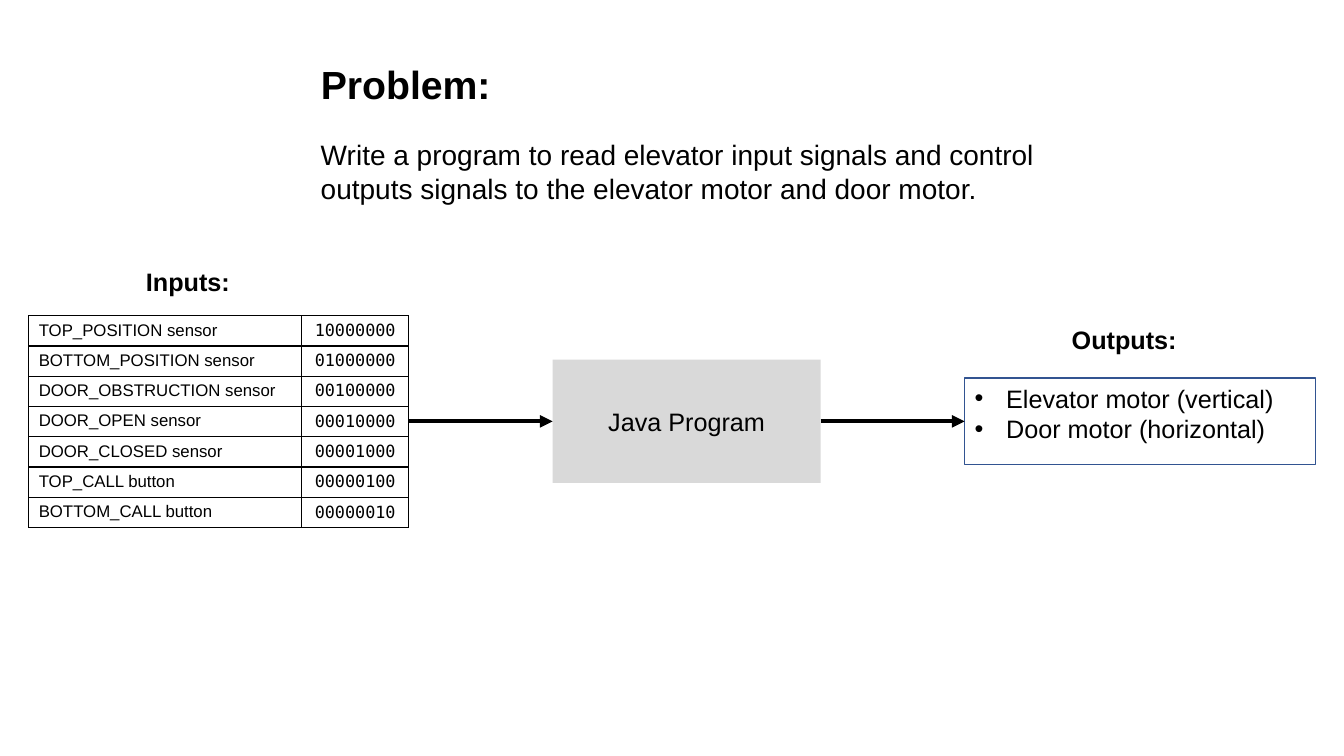
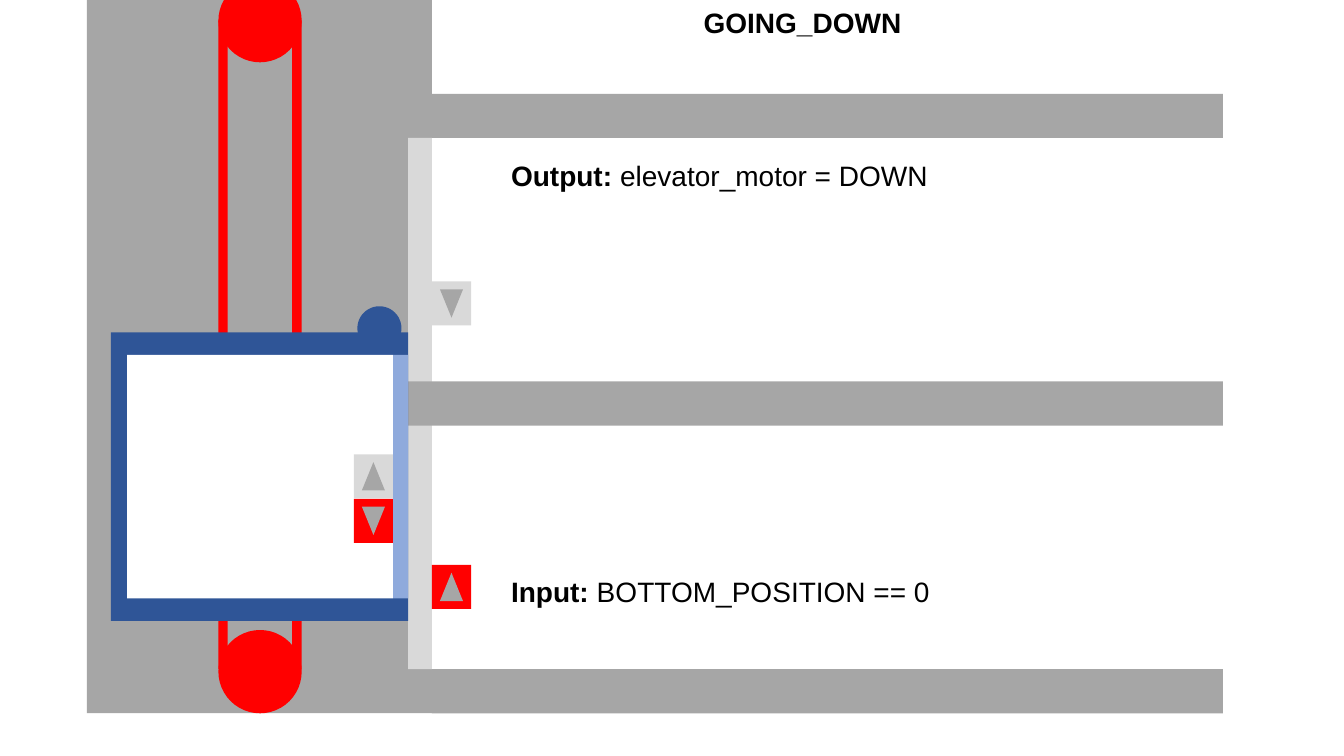
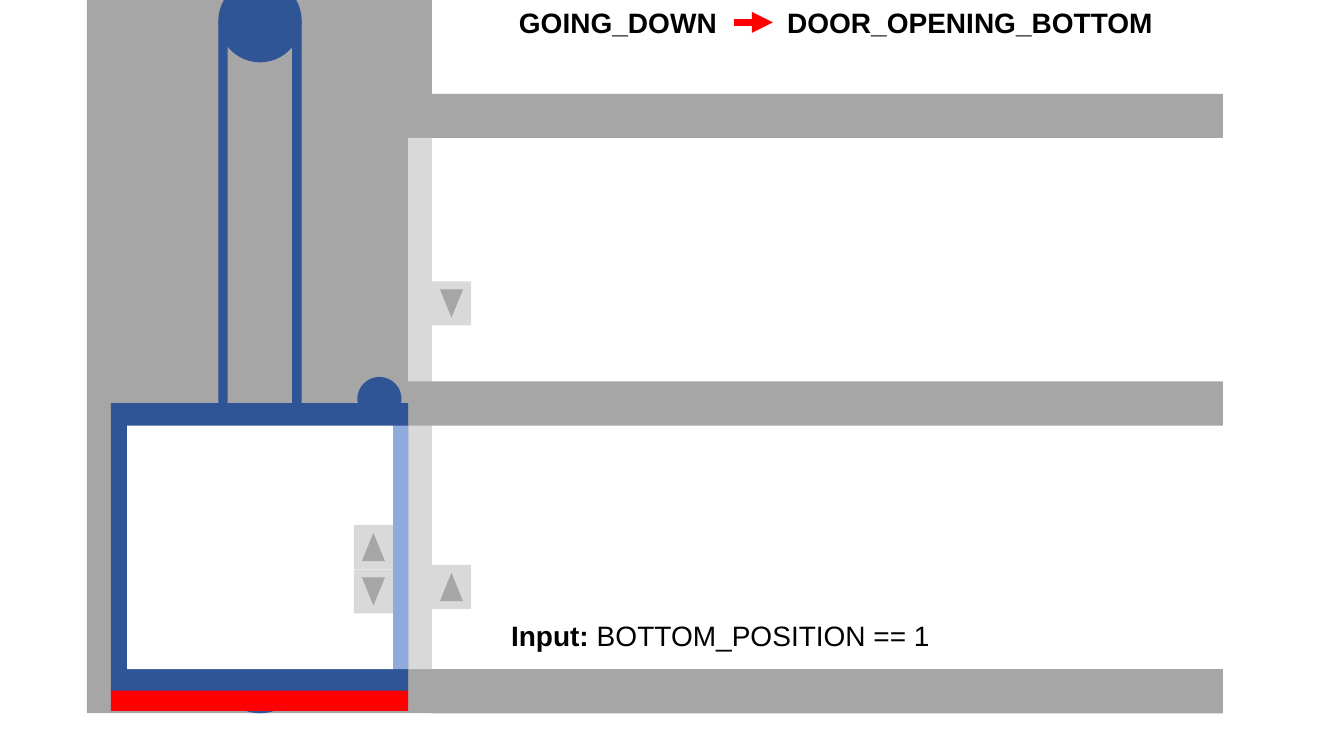
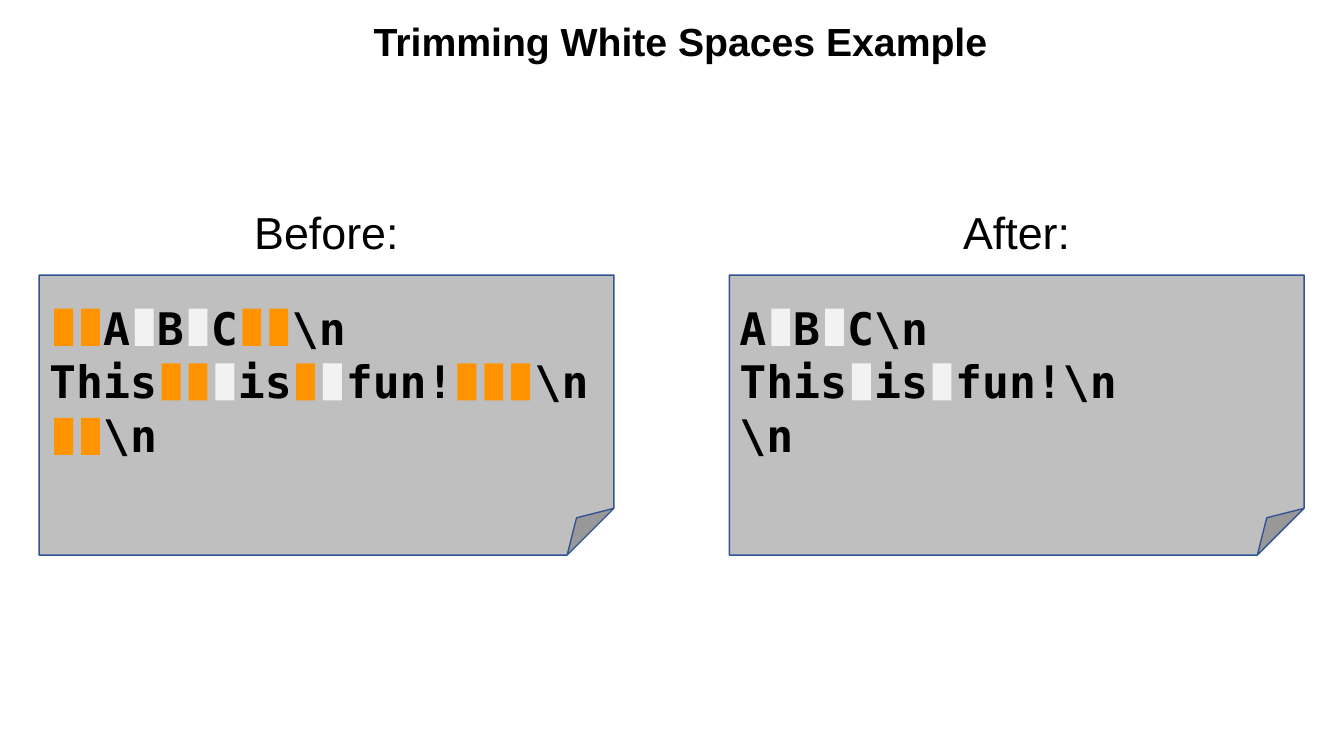
from lxml import etree
from pptx import Presentation
from pptx.dml.color import RGBColor
from pptx.enum import shapes, text
from pptx.oxml import ns
from pptx.util import Pt

COLORS = {
    "black": "000000", "white": "FFFFFF", "red": "FF0000", "outline": "325491",
    "wall": "A6A6A6", "door": "D9D9D9", "machine": "2F5597", "cab_door": "8FAADC",
    "paper": "BFBFBF", "extra_space": "FF9400", "kept_space": "F2F2F2",
}
SANS, MONO = "Arial", "DejaVu Sans Mono"
LEFT, CENTER = text.PP_ALIGN.LEFT, text.PP_ALIGN.CENTER
RECT, OVAL = shapes.MSO_SHAPE.RECTANGLE, shapes.MSO_SHAPE.OVAL
TRIANGLE, FOLDED = shapes.MSO_SHAPE.ISOSCELES_TRIANGLE, shapes.MSO_SHAPE.FOLDED_CORNER
TITLE_AND_BODY, TITLE_ONLY = 1, 5

FLOOR_TOPS = (67, 272.5, 478)
FLOOR_H = 31.5
OPENING_H = FLOOR_TOPS[1] - FLOOR_TOPS[0] - FLOOR_H
SHAFT_X, FLOOR_X, DOOR_W = 62, 308.5, 17
CAB_X, CAB_W, CAB_H = 79.25, 212.25, 206
BUTTON_W, BUTTON_H = 28, 31.5


def rgb(name):
    return RGBColor.from_string(COLORS[name])


def sub(parent, tag, **attrs):
    return etree.SubElement(parent, ns.qn(tag), attrs)


def place(sp, box):
    sp.left, sp.top, sp.width, sp.height = (Pt(v) for v in box)


def write(tf, lines, size, font=SANS, bold=False, align=LEFT):
    """Fill a frame; a line is a string or a list of (text, bold) runs."""
    for i, line in enumerate(lines):
        p = tf.paragraphs[0] if i == 0 else tf.add_paragraph()
        p.alignment, p.space_before = align, Pt(0)
        p.font.size, p.font.name = Pt(size), font
        p.font.color.rgb = rgb("black")
        if isinstance(line, str):
            p.font.bold = bold
            p.add_run().text = line
        else:
            for words, strong in line:
                r = p.add_run()
                r.text, r.font.bold = words, strong


def add_text(slide, box, lines, size, **style):
    sp = slide.shapes.add_textbox(*(Pt(v) for v in box))
    sp.text_frame.word_wrap = True
    write(sp.text_frame, lines, size, **style)


def fill_placeholder(sp, box, lines, size, **style):
    place(sp, box)
    tf = sp.text_frame
    tf.auto_size, tf.vertical_anchor = text.MSO_AUTO_SIZE.NONE, text.MSO_ANCHOR.TOP
    write(tf, lines, size, **style)


def add_slide(prs, layout, title, box, size, align=CENTER):
    slide = prs.slides.add_slide(prs.slide_layouts[layout])
    fill_placeholder(slide.shapes.title, box, [title], size, bold=True, align=align)
    return slide


def add_block(parent, kind, box, fill, line=None):
    sp = parent.shapes.add_shape(kind, *(Pt(v) for v in box))
    sp.shadow.inherit = False
    sp.fill.solid()
    sp.fill.fore_color.rgb = rgb(fill)
    if line:
        sp.line.color.rgb, sp.line.width = rgb(line), Pt(1)
    else:
        sp.line.fill.background()
    return sp


def add_arrow(slide, x1, x2, y, color, width):
    arrow = slide.shapes.add_connector(
        shapes.MSO_CONNECTOR.STRAIGHT, Pt(x1), Pt(y), Pt(x2), Pt(y))
    arrow.line.color.rgb, arrow.line.width = rgb(color), Pt(width)
    sub(arrow.line._get_or_add_ln(), "a:tailEnd", type="triangle")
    sub(arrow._element.spPr, "a:effectLst")
    return arrow


def add_signal_table(slide, x, y, col_widths, row_h, rows):
    table = slide.shapes.add_table(
        len(rows), len(col_widths), Pt(x), Pt(y),
        Pt(sum(col_widths)), Pt(row_h * len(rows))).table
    table.first_row = table.horz_banding = False
    for col, width in zip(table.columns, col_widths):
        col.width = Pt(width)
    for row, values in zip(table.rows, rows):
        row.height = Pt(row_h)
        for cell, value, font, align in zip(row.cells, values, (SANS, MONO), (LEFT, CENTER)):
            write(cell.text_frame, [value], 12, font=font, align=align)
            tcPr = cell._tc.get_or_add_tcPr()
            for side in ("a:lnL", "a:lnR", "a:lnT", "a:lnB"):
                ln = sub(tcPr, side, w=str(Pt(1)))
                sub(sub(ln, "a:solidFill"), "a:srgbClr", val=COLORS["black"])
            cell.fill.background()


def problem_slide(prs):
    slide = add_slide(prs, TITLE_AND_BODY, "Problem:", (222, 39.5, 536.5, 42), 28, LEFT)
    add_text(slide, (222, 95, 536.5, 58), [
        "Write a program to read elevator input signals and control "
        "outputs signals to the elevator motor and door motor."], 20)
    add_text(slide, (90, 186.5, 88.5, 29), ["Inputs:"], 18, bold=True, align=CENTER)
    add_text(slide, (755, 228, 96, 29), ["Outputs:"], 18, bold=True, align=CENTER)

    names = ("TOP_POSITION sensor", "BOTTOM_POSITION sensor", "DOOR_OBSTRUCTION sensor",
             "DOOR_OPEN sensor", "DOOR_CLOSED sensor", "TOP_CALL button",
             "BOTTOM_CALL button")
    rows = [(name, f"{128 >> bit:08b}") for bit, name in enumerate(names)]
    add_signal_table(slide, 20.5, 225.5, (195, 76.5), 21.6, rows)

    program = add_block(slide, RECT, (394.75, 257, 191.5, 88), "door")
    program.text_frame.vertical_anchor = text.MSO_ANCHOR.MIDDLE
    write(program.text_frame, ["Java Program"], 18, align=CENTER)

    outputs = slide.placeholders[1]
    fill_placeholder(outputs, (689, 270, 250.5, 62),
                     ["Elevator motor (vertical)", "Door motor (horizontal)"], 18)
    outputs.line.color.rgb, outputs.line.width = rgb("outline"), Pt(1)
    for p in outputs.text_frame.paragraphs:
        pPr = p._p.get_or_add_pPr()
        pPr.set("marL", str(Pt(22.5)))
        pPr.set("indent", str(Pt(-22.5)))

    add_arrow(slide, 292, 394.75, 301, "black", 3).end_connect(program, 1)
    to_outputs = add_arrow(slide, 586.25, 689, 301, "black", 3)
    to_outputs.begin_connect(program, 3)
    to_outputs.end_connect(outputs, 1)


def add_building(slide, pulley_color):
    """Shaft, floors, landing doors, and the pulleys with their ropes."""
    bottom = FLOOR_TOPS[-1] + FLOOR_H
    add_block(slide, RECT, (SHAFT_X, 0, FLOOR_X - SHAFT_X, bottom), "wall")
    for top in FLOOR_TOPS:
        add_block(slide, RECT, (FLOOR_X, top, 565, FLOOR_H), "wall")
    for top in FLOOR_TOPS[:-1]:
        add_block(slide, RECT, (FLOOR_X - DOOR_W, top + FLOOR_H, DOOR_W, OPENING_H), "door")
    x, size, rope_w = 156, 59.5, 6.75
    for top in (-15, bottom - size):
        add_block(slide, OVAL, (x, top, size, size), pulley_color)
    for left in (x, x + size - rope_w):
        add_block(slide, RECT, (left, 14.5, rope_w, 463.5), pulley_color)


def add_button(slide, x, y, up, lit=False):
    group = slide.shapes.add_group_shape()
    add_block(group, RECT, (x, y, BUTTON_W, BUTTON_H), "red" if lit else "door")
    w, h = 16.5, 20.25
    sign = add_block(group, TRIANGLE,
                     (x + (BUTTON_W - w) / 2, y + (BUTTON_H - h) / 2, w, h), "wall")
    sign.rotation = 0 if up else 180


def add_cab(slide, top, down_lit):
    group = slide.shapes.add_group_shape()
    for kind, (dx, dy, w, h), color in (
            (RECT, (0, 0, CAB_W, CAB_H), "machine"),
            (RECT, (201.5, 16, 10.75, OPENING_H), "cab_door"),
            (OVAL, (176, -18.75, 31.5, 31.5), "machine"),
            (RECT, (11.5, 16, 190, OPENING_H), "white")):
        add_block(group, kind, (CAB_X + dx, top + dy, w, h), color)
    add_button(slide, CAB_X + 173.5, top + 87, up=True)
    add_button(slide, CAB_X + 173.5, top + 118.75, up=False, lit=down_lit)


def elevator_slide(prs, title, title_box, cab_top, moving, signals, align=CENTER):
    """Elevator section; signals holds (top, label, expression)."""
    slide = add_slide(prs, TITLE_ONLY, title, title_box, 20, align)
    add_building(slide, "red" if moving else "machine")
    add_cab(slide, cab_top, down_lit=moving)
    add_button(slide, FLOOR_X, 201, up=False)
    add_button(slide, FLOOR_X, 403.5, up=True, lit=moving)
    for top, label, expression in signals:
        add_text(slide, (358, top, 366, 32), [[(label + " ", True), (expression, False)]], 20)
    return slide


def going_down_slide(prs):
    elevator_slide(prs, "GOING_DOWN", (342.75, 0, 461, 31.5), 237.5, True, [
        (110, "Output:", "elevator_motor = DOWN"),
        (407, "Input:", "BOTTOM_POSITION == 0")])


def arrived_slide(prs):
    cab_top = 288
    slide = elevator_slide(
        prs, "GOING_DOWN\tDOOR_OPENING_BOTTOM", (363.5, 0, 489, 31.5), cab_top, False,
        [(438, "Input:", "BOTTOM_POSITION == 1")], LEFT)
    pPr = slide.shapes.title.text_frame.paragraphs[0]._p.pPr
    tabs = etree.Element(ns.qn("a:tabLst"))
    sub(tabs, "a:tab", pos=str(Pt(191.5)), algn="l")
    pPr.find(ns.qn("a:defRPr")).addprevious(tabs)
    add_arrow(slide, 524, 552, 16, "red", 5)
    add_block(slide, RECT, (CAB_X, cab_top + CAB_H - 0.75, CAB_W, 14.5), "red")


def add_note(slide, x, y, heading, lines):
    """Sheet of code whose spaces are marked as kept or extra."""
    w, h, size, pitch = 410.5, 200, 32, 39
    add_text(slide, (x, y - 54, w, 46), [heading], size, align=CENTER)
    sheet = add_block(slide, FOLDED, (x, y, w, h), "paper", "outline")
    tf = sheet.text_frame
    tf.vertical_anchor, tf.margin_top = text.MSO_ANCHOR.TOP, Pt(18)
    write(tf, lines, size, font=MONO, bold=True)
    for row, line in enumerate(lines):
        for col, char in enumerate(line):
            if char == " ":
                kept = line[:col].strip() and line[col + 1] not in " \\"
                add_block(slide, RECT,
                          (x + 10.75 + col * size * 0.6, y + 24 + row * pitch, 13.5, 26.5),
                          "kept_space" if kept else "extra_space")


def trimming_slide(prs):
    slide = add_slide(prs, TITLE_ONLY, "Trimming White Spaces Example",
                      (257.75, 8.5, 456.5, 41), 28)
    add_note(slide, 28, 196.5, "Before:", [r"  A B C  \n", r"This   is  fun!   \n", r"  \n"])
    add_note(slide, 521, 196.5, "After:", [r"A B C\n", r"This is fun!\n", r"\n"])


def main():
    prs = Presentation()
    prs.slide_width, prs.slide_height = Pt(960), Pt(540)
    problem_slide(prs)
    going_down_slide(prs)
    arrived_slide(prs)
    trimming_slide(prs)
    prs.save("out.pptx")


if __name__ == "__main__":
    main()
